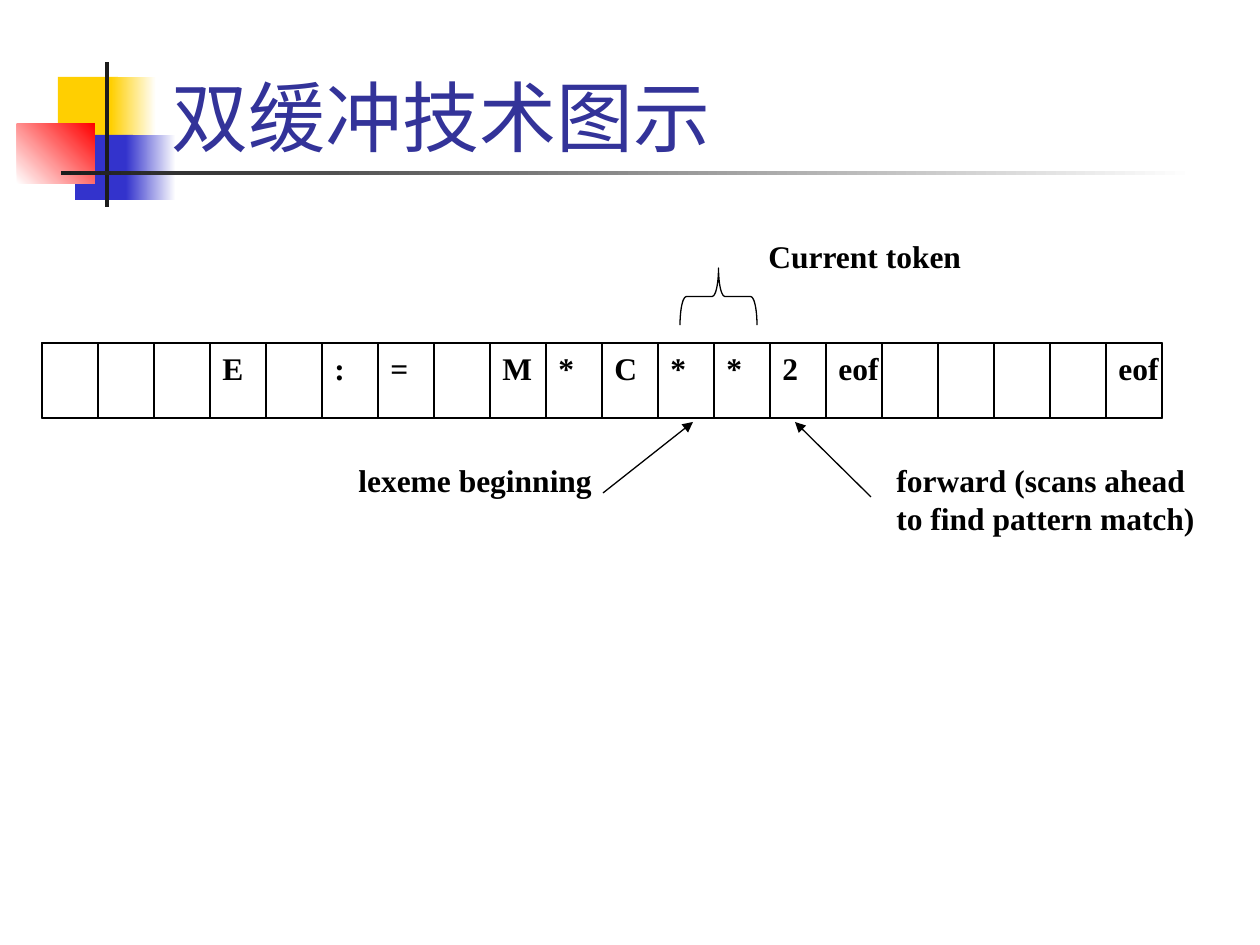
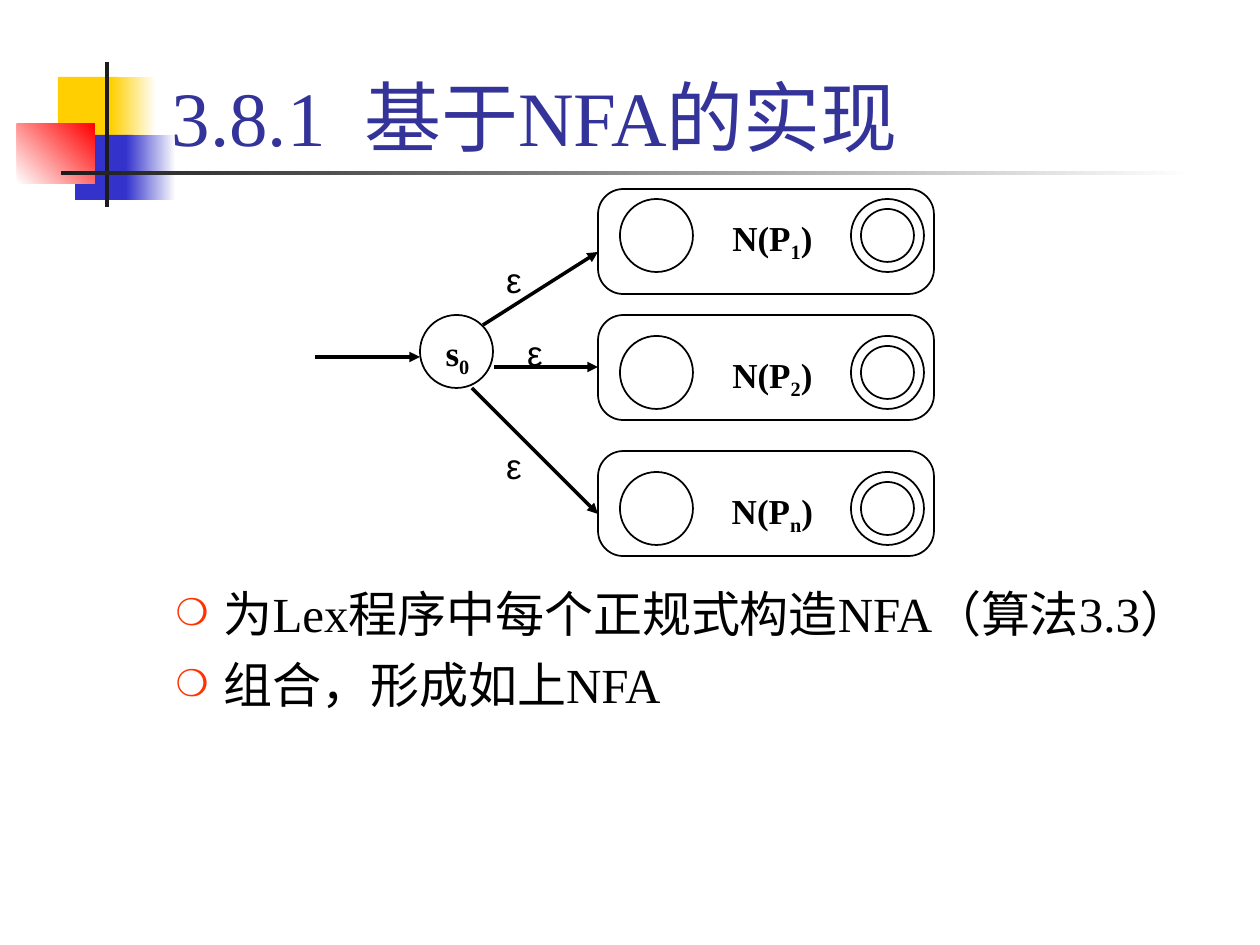
import pptx
import pptx.dml.color
import pptx.enum.shapes
import pptx.enum.text
import pptx.oxml.ns
import pptx.util
from lxml import etree

EMU_PER_PX = 914400 / 126
SERIF, SANS = "Times New Roman", "Arial"
COLORS = {
    "title": "333399",
    "ink": "000000",
    "bullet": "FF3300",
    "yellow": "FFCF01",
    "blue": "3333CC",
    "red": "FF0000",
    "dark": "1C1C1C",
    "white": "FFFFFF",
}
SHAPE = pptx.enum.shapes.MSO_SHAPE
ALIGN = pptx.enum.text.PP_ALIGN
ANCHOR = pptx.enum.text.MSO_ANCHOR
qn = pptx.oxml.ns.qn


def px(*lengths):
    return [pptx.util.Emu(round(length * EMU_PER_PX)) for length in lengths]


def color(name):
    return pptx.dml.color.RGBColor.from_string(COLORS[name])


def style(paragraph, size, tint="ink", font=SERIF, bold=False, align=ALIGN.LEFT):
    paragraph.alignment = align
    for run in paragraph.runs:
        run.font.size = pptx.util.Pt(size)
        run.font.name = font
        run.font.bold = bold
        run.font.color.rgb = color(tint)


def add_band(slide, box, tints, angle=0):
    """Borderless rectangle: one tint is solid, two make a gradient."""
    band = slide.shapes.add_shape(SHAPE.RECTANGLE, *px(*box))
    band.shadow.inherit = False
    band.line.fill.background()
    if len(tints) == 1:
        band.fill.solid()
        band.fill.fore_color.rgb = color(tints[0])
    else:
        band.fill.gradient()
        band.fill.gradient_angle = angle
        for stop, tint in zip(band.fill.gradient_stops, tints):
            stop.color.rgb = color(tint)
    return band


def decorate_master(deck, slide):
    """Draw the title ornament and move it to the master, behind all else."""
    bands = [
        add_band(slide, (58, 77, 60, 65), ["yellow"]),
        add_band(slide, (111, 77, 45, 65), ["yellow", "white"]),
        add_band(slide, (75, 135, 58, 65), ["blue"]),
        add_band(slide, (126, 135, 50, 65), ["blue", "white"]),
        add_band(slide, (17, 124, 78, 60), ["white", "red"], angle=45),
        add_band(slide, (105, 62, 4, 145), ["dark"]),
        add_band(slide, (61, 171, 1134, 4), ["dark", "white"]),
    ]
    for order, band in enumerate(bands):
        band.element.nvSpPr.cNvPr.set("id", str(20 + order))
        deck.slide_master.shapes.element.insert(2 + order, band.element)


def place(placeholder, box, anchor):
    placeholder.left, placeholder.top, placeholder.width, placeholder.height = px(*box)
    placeholder.text_frame.vertical_anchor = anchor
    placeholder.text_frame.auto_size = pptx.enum.text.MSO_AUTO_SIZE.NONE


def set_title(slide, text):
    title = slide.shapes.title
    place(title, (159, 10, 1074, 158), ANCHOR.BOTTOM)
    title.text_frame.text = text
    style(title.text_frame.paragraphs[0], 44, "title")


def set_bullets(slide, lines):
    body = slide.placeholders[1]
    place(body, (163, 577, 1071, 231), ANCHOR.TOP)
    body.text_frame.text = "\n".join(lines)
    indent = px(48)[0]
    for paragraph in body.text_frame.paragraphs:
        style(paragraph, 28)
        paragraph.space_before = pptx.util.Pt(7)
        props = paragraph._p.get_or_add_pPr()
        props.set("marL", str(indent))
        props.set("indent", str(-indent))
        tint = etree.SubElement(props, qn("a:buClr"))
        etree.SubElement(tint, qn("a:srgbClr"), val=COLORS["bullet"])
        etree.SubElement(props, qn("a:buSzPct"), val="75000")
        etree.SubElement(props, qn("a:buChar"), char="❍")


def add_outline(slide, kind, box, weight):
    outline = slide.shapes.add_shape(kind, *px(*box))
    outline.shadow.inherit = False
    outline.fill.background()
    outline.line.color.rgb = color("ink")
    outline.line.width = pptx.util.Pt(weight)
    return outline


def add_circle(slide, left, top, diameter=73):
    add_outline(slide, SHAPE.OVAL, (left, top, diameter, diameter), 1)


def add_label(slide, box, text, size, **look):
    label = slide.shapes.add_textbox(*px(*box))
    label.text_frame.word_wrap = True
    label.text_frame.text = text
    style(label.text_frame.paragraphs[0], size, **look)
    return label


def add_indexed_label(slide, box, base, index, closing=""):
    """Centred bold label whose index is a subscript."""
    label = add_label(slide, box, base, 20)
    paragraph = label.text_frame.paragraphs[0]
    subscript = paragraph.add_run()
    subscript.text = index
    if closing:
        paragraph.add_run().text = closing
    style(paragraph, 20, bold=True, align=ALIGN.CENTER)
    subscript._r.get_or_add_rPr().set("baseline", "-25000")


def add_arrow(slide, start, end, weight):
    arrow = slide.shapes.add_connector(
        pptx.enum.shapes.MSO_CONNECTOR.STRAIGHT, *px(*start, *end))
    arrow.line.color.rgb = color("ink")
    arrow.line.width = pptx.util.Pt(weight)
    props = arrow.element.spPr
    etree.SubElement(props.find(qn("a:ln")), qn("a:tailEnd"), type="triangle")
    etree.SubElement(props, qn("a:effectLst"))


def add_cell(slide, box, symbol):
    cell = add_outline(slide, SHAPE.RECTANGLE, box, 0.75)
    if symbol:
        cell.text_frame.text = symbol
        cell.text_frame.word_wrap = False
        cell.text_frame.vertical_anchor = ANCHOR.TOP
        style(cell.text_frame.paragraphs[0], 18, bold=True)


def draw_buffer(slide):
    left, top, width, height = 42, 343, 56, 75
    halves = [
        ["", "", "", "E", "", ":", "=", "", "M", "*"],
        ["C", "*", "*", "2", "eof", "", "", "", "", "eof"],
    ]
    for half, symbols in enumerate(halves):
        half_width = width * len(symbols)
        half_left = left + half * half_width
        for column, symbol in enumerate(symbols):
            add_cell(slide, (half_left + column * width, top, width, height), symbol)
        add_outline(slide, SHAPE.RECTANGLE, (half_left, top, half_width, height), 0.75)

    brace = add_outline(slide, SHAPE.LEFT_BRACE, (690, 258, 57, 77), 0.75)
    brace.adjustments[0] = 0.11
    brace.rotation = 90
    add_label(slide, (756, 231, 358, 50), "Current token", 18, bold=True)
    add_label(slide, (346, 455, 262, 50), "lexeme beginning", 18, bold=True)
    add_label(slide, (884, 455, 344, 88),
              "forward (scans ahead to find pattern match)", 18, bold=True)
    add_arrow(slide, (603, 493), (693, 422), 0.75)
    add_arrow(slide, (871, 497), (795, 422), 0.75)


def draw_pattern_nfa(slide, box_top, state_top, index):
    add_circle(slide, 620, state_top)
    add_circle(slide, 851, state_top)
    add_circle(slide, 861, state_top + 10, 53)
    frame = add_outline(slide, SHAPE.ROUNDED_RECTANGLE, (598, box_top, 336, 105), 1)
    frame.adjustments[0] = 0.24
    add_indexed_label(slide, (683, state_top + 11, 179, 60), "N(P", index, ")")


def draw_combined_nfa(slide):
    add_circle(slide, 420, 315)
    add_indexed_label(slide, (431, 325, 53, 60), "s", "0")
    for box_top, state_top, index in [(189, 199, "1"), (315, 336, "2"), (451, 472, "n")]:
        draw_pattern_nfa(slide, box_top, state_top, index)
    for start, end in [((315, 357), (420, 357)), ((483, 325), (598, 252)),
                       ((494, 367), (598, 367)), ((472, 388), (598, 514))]:
        add_arrow(slide, start, end, 2)
    for left, top in [(451, 252), (472, 325), (451, 438)]:
        add_label(slide, (left, top, 126, 55), "ε", 20, font=SANS, align=ALIGN.CENTER)


def main():
    deck = pptx.Presentation()
    deck.slide_width, deck.slide_height = px(1260, 945)
    title_and_body, title_only = deck.slide_layouts[1], deck.slide_layouts[5]

    buffering = deck.slides.add_slide(title_only)
    decorate_master(deck, buffering)
    set_title(buffering, "双缓冲技术图示")
    draw_buffer(buffering)

    nfa = deck.slides.add_slide(title_and_body)
    set_title(nfa, "3.8.1  基于NFA的实现")
    set_bullets(nfa, ["为Lex程序中每个正规式构造NFA（算法3.3）", "组合，形成如上NFA"])
    draw_combined_nfa(nfa)

    deck.save("out.pptx")


if __name__ == "__main__":
    main()
